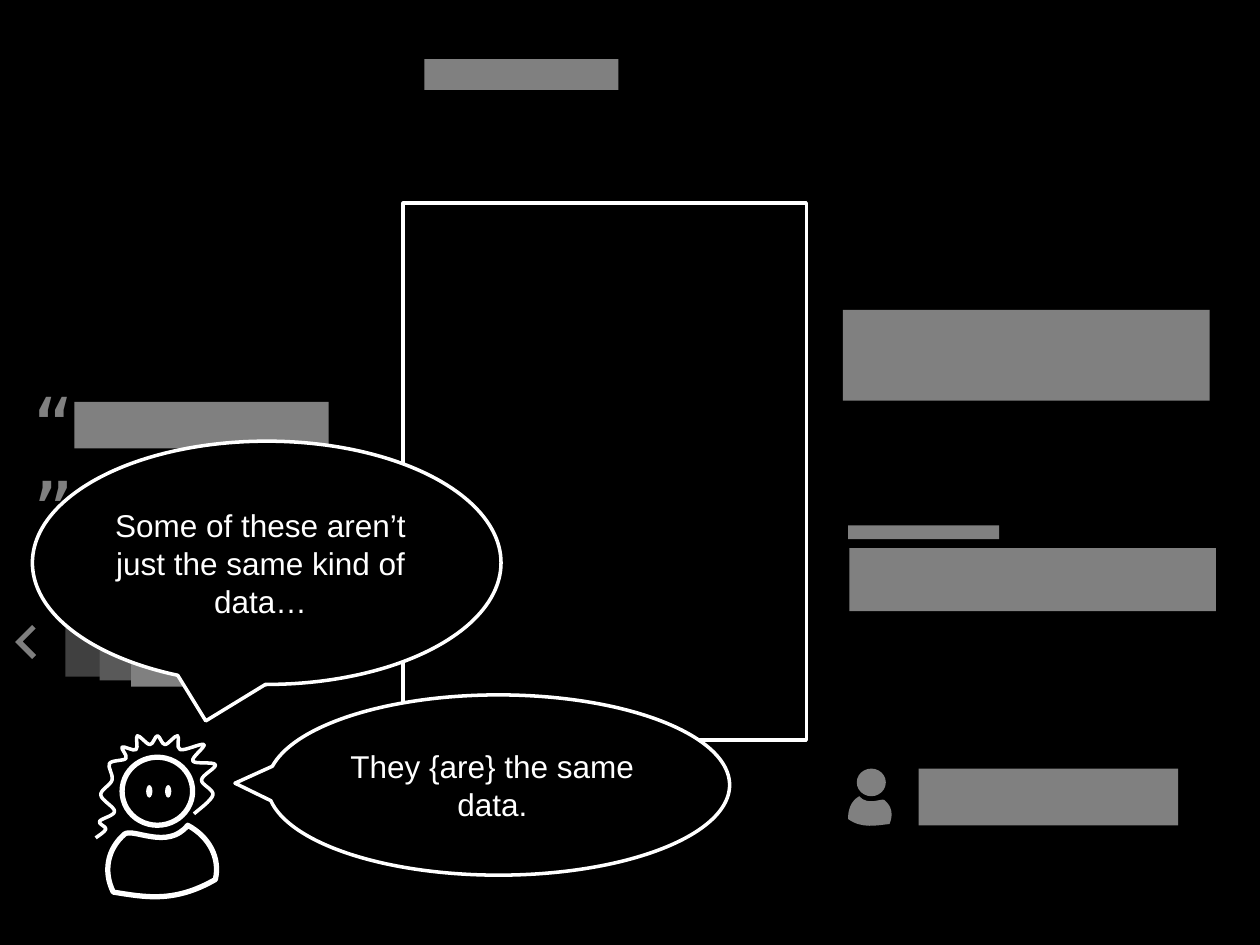
"""Build the slide on which two speech bubbles cover a page of data blocks."""
import lxml.etree
import pptx
import pptx.dml.color
import pptx.enum.shapes
import pptx.enum.text
import pptx.oxml.ns
import pptx.util

Pt = pptx.util.Pt
KIND = pptx.enum.shapes.MSO_SHAPE
WHITE, BLACK, GRAY = "FFFFFF", "000000", "808080"

BLOCKS = [
    (242.6, 33.8, 110.9, 17.6, GRAY),
    (524.9, 439.2, 148.3, 32.4, GRAY),
    (42.5, 229.7, 145.4, 26.6, GRAY),
    (484.6, 300.2, 86.4, 7.9, GRAY),
    (485.3, 313.2, 209.5, 36, GRAY),
    (37.4, 347.8, 152.6, 38.9, "404040"),
    (56.9, 344.2, 113.8, 44.6, "595959"),
    (74.9, 340.6, 77.8, 51.8, GRAY),
    (481.7, 177.1, 209.5, 51.8, GRAY),
]
USER = [
    (484.6, 468), (484.6, 463), (486, 457.9), (491, 455),
    (496.1, 460.8), (504, 455.8), (505.4, 457.2),
    (509.8, 460.8), (510.5, 465.8), (508.3, 470.9),
    (501.1, 471.6), (492.5, 473.8), (484.6, 468),
]
BODY = [
    (123.1, 502.6), (126, 490.3), (119.5, 478.1), (107.3, 471.6),
    (95.8, 486), (76.3, 473), (71.3, 476.6),
    (61.2, 485.3), (59, 498.2), (64.8, 509.8),
    (82.8, 512.6), (99.4, 516.2), (123.1, 502.6),
]
HAIR = [
    (110.9, 465.1), (121.7, 454.3), (115.2, 445.7), (123.1, 437),
    (110.2, 434.9), (116.6, 425.5), (103, 428.4), (101.5, 420.5),
    (94.3, 425.5), (90, 420.5), (85.7, 425.5), (78.5, 420.5),
    (77.8, 428.4), (69.8, 427), (72, 433.4), (62.6, 436.3),
    (64.1, 445.7), (57.6, 454.3), (65.5, 463.7), (56.9, 469.4),
    (60.5, 473.8), (54.7, 478.8),
]


def tint(value):
    """Turn a hex string into a colour."""
    return pptx.dml.color.RGBColor.from_string(value)


def paint(shape, fill=None, line=None, width=2):
    """Set fill and line, and drop the shadow."""
    shape.shadow.inherit = False
    if fill:
        shape.fill.solid()
        shape.fill.fore_color.rgb = tint(fill)
    else:
        shape.fill.background()
    if line:
        shape.line.color.rgb = tint(line)
        shape.line.width = Pt(width)
    else:
        shape.line.fill.background()


def draw(slide, kind, box, fill=None, line=None, width=2):
    """Add a preset shape in a box given in points."""
    shape = slide.shapes.add_shape(kind, *map(Pt, box))
    paint(shape, fill, line, width)
    return shape


def smooth(knots):
    """Give the Bezier points of a smooth curve through the knots."""
    ends = [knots[0], *knots, knots[-1]]
    points = [knots[0]]
    for a, b, c, d in zip(ends, ends[1:], ends[2:], ends[3:]):
        points.append(tuple(q + (r - p) / 6 for p, q, r in zip(a, b, c)))
        points.append(tuple(r - (s - q) / 6 for q, r, s in zip(b, c, d)))
        points.append(c)
    return points


def bend(shape):
    """Join each three line segments of a freeform into one Bezier curve."""
    qn = pptx.oxml.ns.qn
    lines = list(shape.element.iter(qn("a:lnTo")))
    for at in range(0, len(lines), 3):
        arc = lxml.etree.Element(qn("a:cubicBezTo"))
        lines[at].addprevious(arc)
        for line in lines[at:at + 3]:
            arc.append(line[0])
            line.getparent().remove(line)


def curve(slide, points, close, fill=None, line=None, width=2):
    """Add a freeform that follows Bezier points."""
    spots = [tuple(map(Pt, point)) for point in points]
    pen = slide.shapes.build_freeform(*spots[0])
    pen.add_line_segments(spots[1:], close=close)
    shape = pen.convert_to_shape()
    bend(shape)
    paint(shape, fill, line, width)


def write(para, text, font, size, color):
    """Add one run to a paragraph."""
    run = para.add_run()
    run.text = text
    run.font.name = font
    run.font.size = Pt(size)
    run.font.color.rgb = tint(color)


def quote(slide):
    """Add the pair of large quotation marks."""
    frame = slide.shapes.add_textbox(*map(Pt, (11.5, 213.8, 218.2, 55.4))).text_frame
    frame.word_wrap = True
    para = frame.paragraphs[0]
    write(para, "“", "DejaVu Sans Mono", 40, GRAY)
    para.add_line_break()
    write(para, "”", "DejaVu Sans Mono", 40, GRAY)


def bubble(slide, box, tail, text):
    """Add a speech bubble with its tail and words."""
    shape = draw(slide, KIND.OVAL_CALLOUT, box, BLACK, WHITE)
    for index, value in enumerate(tail):
        shape.adjustments[index] = value
    frame = shape.text_frame
    frame.word_wrap = True
    frame.vertical_anchor = pptx.enum.text.MSO_ANCHOR.MIDDLE
    frame.margin_left = frame.margin_top = frame.margin_bottom = 0
    frame.margin_right = Pt(7.2)
    para = frame.paragraphs[0]
    para.alignment = pptx.enum.text.PP_ALIGN.CENTER
    write(para, text, "Arial", 18, WHITE)


def arrow(slide, left, turn):
    """Add a chevron that points to one side."""
    shape = draw(slide, KIND.CORNER, (left, 360, 13.7, 13.7), "7F7F7F")
    shape.adjustments[0] = 0.23
    shape.adjustments[1] = 0.21
    shape.rotation = turn


def person(slide):
    """Add the speaker with body, head, hair and eyes."""
    curve(slide, BODY, True, line=WHITE, width=3)
    draw(slide, KIND.OVAL, (69.8, 432.7, 40.3, 38.9), line=WHITE, width=3)
    curve(slide, smooth(HAIR), False, line=WHITE)
    for left in (94.3, 83.5):
        draw(slide, KIND.OVAL, (left, 448.6, 3.6, 7.2), WHITE)


def main():
    """Build and save the slide."""
    deck = pptx.Presentation()
    deck.slide_width, deck.slide_height = Pt(720), Pt(540)
    slide = deck.slides.add_slide(deck.slide_layouts[6])
    slide.background.fill.solid()
    slide.background.fill.fore_color.rgb = tint(BLACK)
    draw(slide, KIND.RECTANGLE, (230.4, 116.1, 230.4, 306.7), line=WHITE)
    quote(slide)
    for left, turn in ((11.5, 45), (202.3, 225)):
        arrow(slide, left, turn)
    for *box, fill in BLOCKS:
        draw(slide, KIND.RECTANGLE, box, fill)
    curve(slide, USER, True, GRAY)
    draw(slide, KIND.OVAL, (489.6, 439.2, 16.6, 15.8), GRAY)
    person(slide)
    bubble(slide, (18.5, 252.1, 267.8, 139), (-0.13, 0.65),
           "Some of these aren’t just the same kind of data…")
    bubble(slide, (152.8, 397.1, 264.2, 103), (-0.57, -0.01),
           "They {are} the same data.")
    deck.save("out.pptx")


if __name__ == "__main__":
    main()
